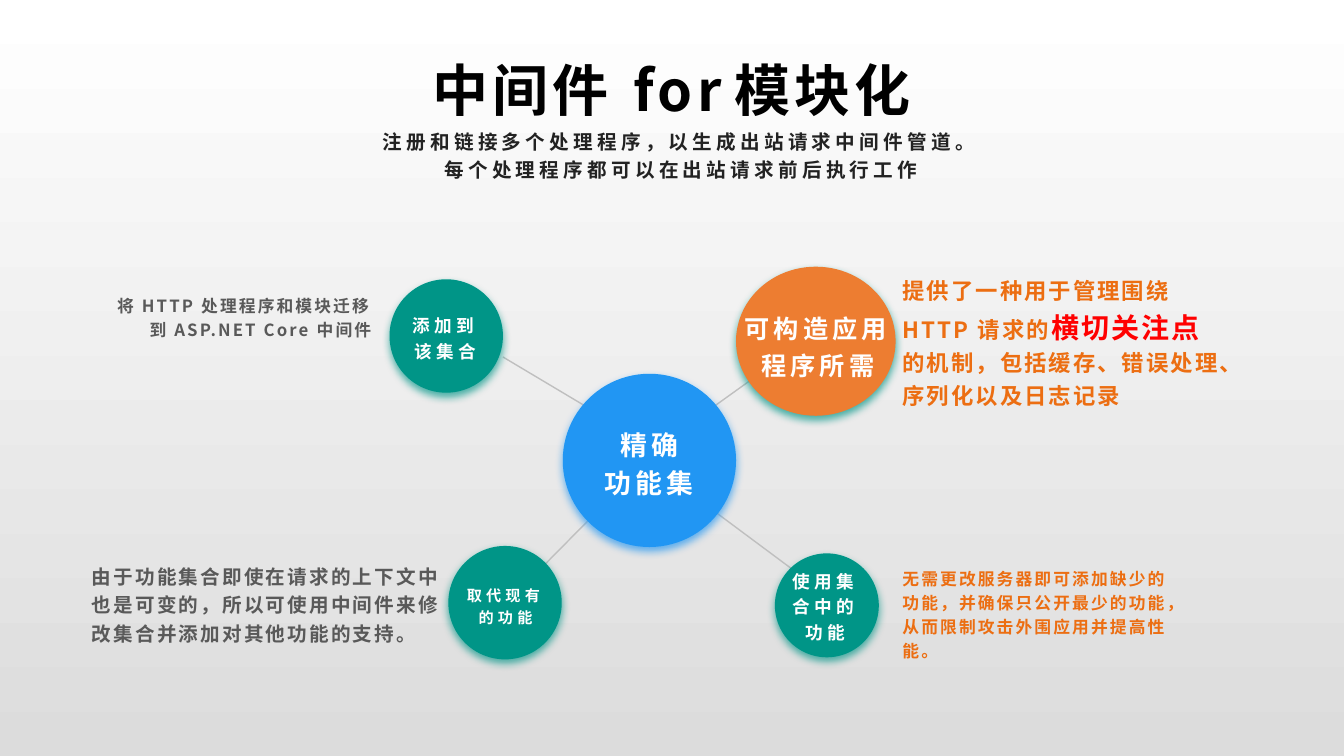
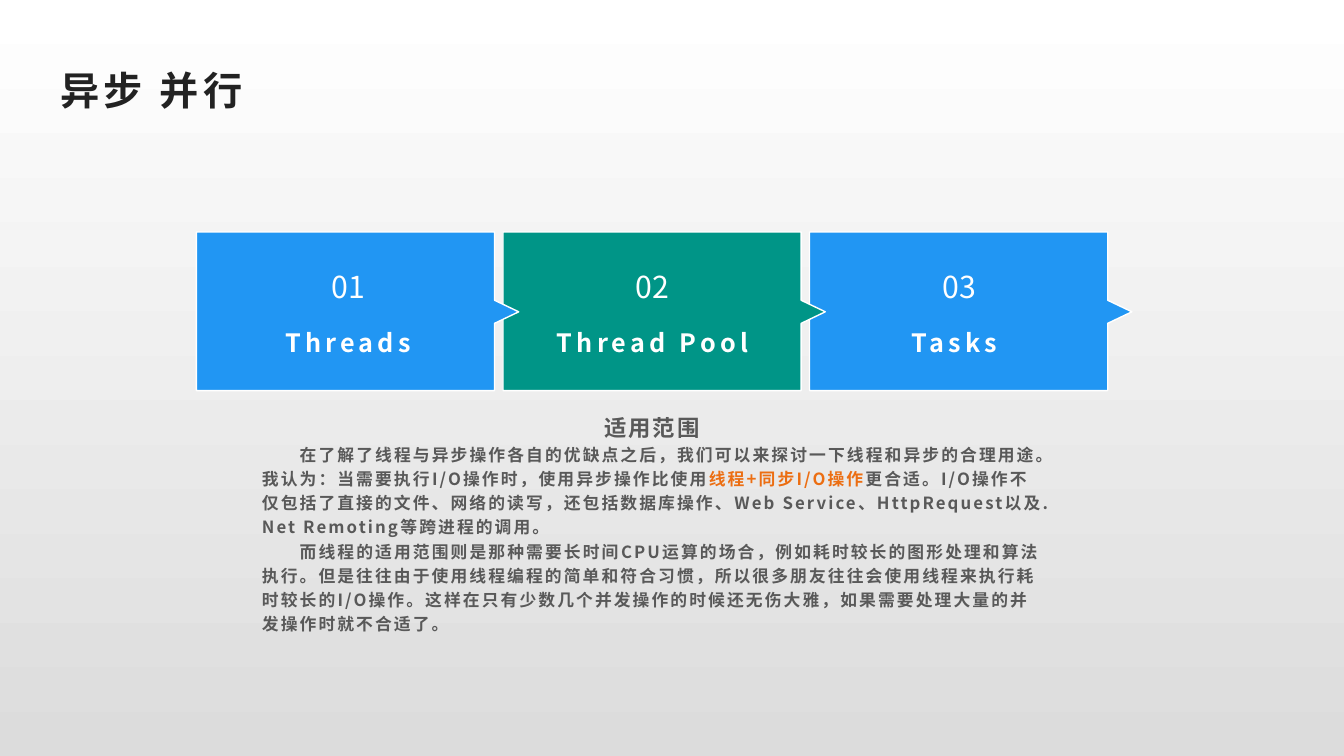
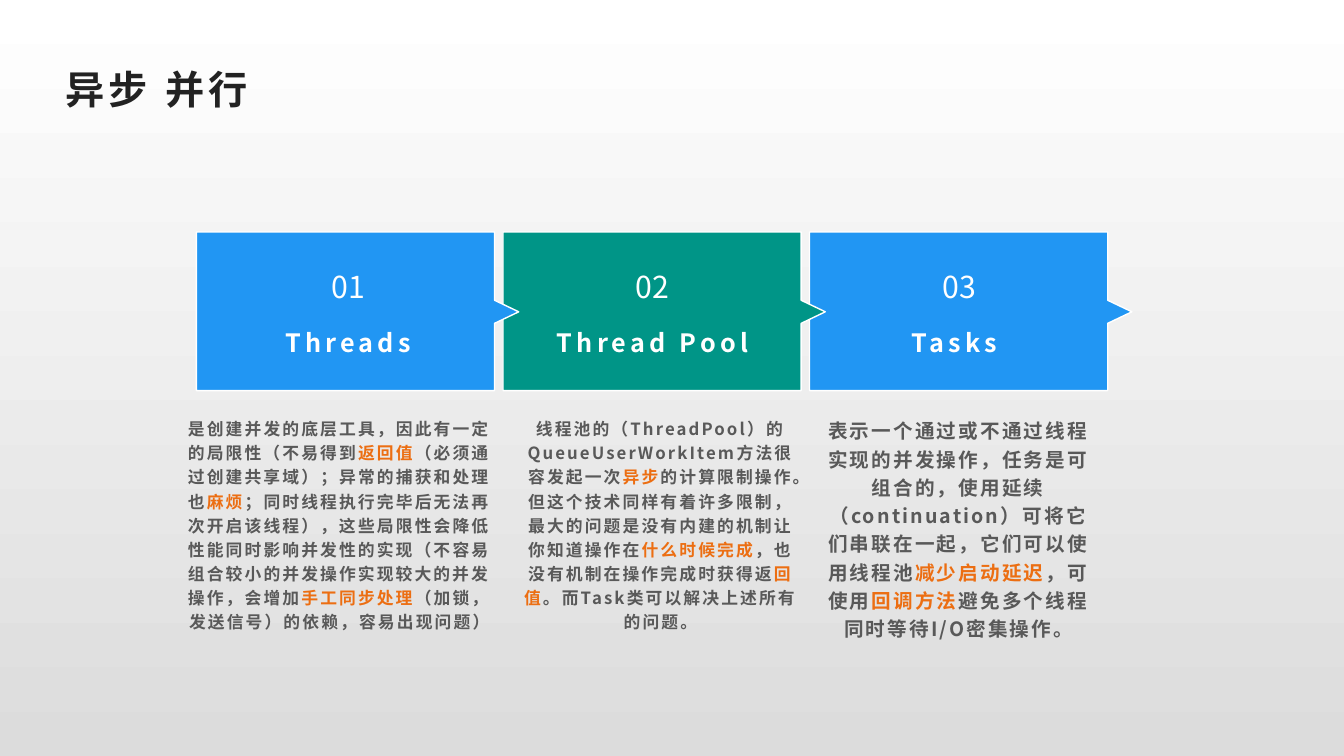
"""Build three slides on middleware features and on asynchronous and parallel work."""
from lxml.etree import SubElement
from pptx import Presentation
from pptx.dml.color import RGBColor as Rgb
from pptx.enum.lang import MSO_LANGUAGE_ID as Lang
from pptx.enum.shapes import MSO_CONNECTOR as Connector, MSO_SHAPE as Shape
from pptx.enum.text import MSO_ANCHOR as Anchor, PP_ALIGN as Align
from pptx.oxml.ns import qn
from pptx.util import Pt

PX = 9525
FONT = "Noto Sans CJK SC"
COLORS = {
    "top": "FFFFFF", "bottom": "DCDCDC", "white": "FFFFFF", "black": "000000",
    "title": "222222", "body": "595959", "accent": "EC6E12", "alert": "FF0000",
    "blue": "2196F3", "teal": "009587", "orange": "ED7D31", "link": "BFBFBF",
}
LABEL = {"size": 12.6, "color": "white", "bold": True, "gap": 3, "align": Align.CENTER, "lines": 1.2}
BODY = {"size": 12, "color": "body", "bold": True, "gap": 1.5, "align": Align.LEFT, "lines": 1.2}
CENTERED = {**BODY, "align": Align.CENTER}
TITLE = {**LABEL, "size": 28, "color": "title", "align": Align.LEFT, "lines": 1.1}
CARD_NAME = {**LABEL, "size": 18, "lines": 1}
CARD_NUMBER = {**CARD_NAME, "size": 21.6, "bold": False, "gap": 0}
MIDDLE = {"vertical_anchor": Anchor.MIDDLE}
NO_BOTTOM = {"margin_bottom": 0}
NO_TOP = {"margin_top": 0}


def px(*lengths):
    """Turn pixel lengths into EMU."""
    return [length * PX for length in lengths]


def write(box, style, paragraphs, frame_format):
    """Fill a box with paragraphs, each a list of (text, style changes) spans."""
    frame = box.text_frame
    for name, value in {"word_wrap": True, "vertical_anchor": Anchor.TOP, **frame_format}.items():
        setattr(frame, name, value)
    for number, spans in enumerate(paragraphs):
        para = frame.paragraphs[0] if number == 0 else frame.add_paragraph()
        first = {**style, **spans[0][1]}
        para.alignment = first["align"]
        para.line_spacing = first["lines"]
        properties = para._p.get_or_add_pPr()
        properties.set("defTabSz", str(96 * PX))
        if "indent" in first:
            properties.set("indent", str(first["indent"] * PX))
        for text, changes in spans:
            look = {**style, **changes}
            span = para.add_run()
            span.text = text
            font_format = {"name": FONT, "size": Pt(look["size"]), "bold": look["bold"],
                           "language_id": Lang.SIMPLIFIED_CHINESE}
            for name, value in font_format.items():
                setattr(span.font, name, value)
            span.font.color.rgb = Rgb.from_string(COLORS[look["color"]])
            run_properties = span._r.get_or_add_rPr()
            run_properties.set("spc", str(int(look["gap"] * 100)))
            SubElement(run_properties, qn("a:ea"), typeface=FONT)


deck = Presentation()
deck.slide_width, deck.slide_height = px(1280, 720)
background = deck.slide_master.background.fill
background.gradient()
background.gradient_angle = 270
for stop, name in zip(background.gradient_stops, ("top", "bottom")):
    stop.color.rgb = Rgb.from_string(COLORS[name])
hub_page, scope_page, detail_page = [deck.slides.add_slide(deck.slide_layouts[6]) for _ in range(3)]

for ends in [(479, 340, 583, 402), (560, 496, 482, 575), (667, 477, 753, 541), (676, 390, 754, 334)]:
    link = hub_page.shapes.add_connector(Connector.STRAIGHT, *px(*ends))
    link.line.color.rgb = Rgb.from_string(COLORS["link"])
    link.line.width = Pt(1)
    SubElement(link._element.spPr, qn("a:effectLst"))

circles = [
    ((701, 254, 152, 142), "orange", "teal"),
    ((371, 266, 108, 108), "teal", "teal"),
    ((427, 520, 108, 108), "teal", "teal"),
    ((738, 527, 99, 99), "teal", "teal"),
    ((536, 356, 165, 165), "blue", "blue"),
]
for place, fill, glow in circles:
    circle = hub_page.shapes.add_shape(Shape.OVAL, *px(*place))
    circle.fill.solid()
    circle.fill.fore_color.rgb = Rgb.from_string(COLORS[fill])
    circle.line.fill.background()
    circle.shadow.inherit = False
    effects = circle._element.spPr.find(qn("a:effectLst"))
    shadow = SubElement(effects, qn("a:outerShdw"), blurRad=str(Pt(6)), dist=str(Pt(3)),
                        dir="5400000", algn="t", rotWithShape="0")
    shade = SubElement(shadow, qn("a:srgbClr"), val=COLORS[glow])
    SubElement(shade, qn("a:alpha"), val="70000")
write(circle, {**LABEL, "size": 19.2}, [[("精确", {})], [("功能集", {})]], MIDDLE)

hub_texts = [
    ((382, 282, 84, 77), LABEL, MIDDLE, [("添加到该集合", {})]),
    ((735, 531, 102, 90), LABEL, MIDDLE, [("使用集合中的功能", {})]),
    ((699, 283, 160, 89), {**LABEL, "size": 18}, MIDDLE, [("可构造应用程序所需", {})]),
    ((433, 537, 97, 77), {**LABEL, "size": 10.8}, MIDDLE, [("取代现有的功能", {})]),
    ((48, 62, 1183, 55), {**LABEL, "size": 40, "color": "black"},
     {**NO_BOTTOM, "vertical_anchor": Anchor.BOTTOM}, [("中间件\tfor\t模块化", {})]),
    ((344, 119, 609, 33), {**LABEL, "size": 14, "color": "title"}, NO_TOP,
     [("注册和链接多个处理程序，以生成出站请求中间件管道。 每个处理程序都可以在出站请求前后执行工作", {})]),
    ((850, 254, 324, 111), {**BODY, "size": 16, "color": "accent"}, {},
     [("提供了一种用于管理围绕 HTTP 请求的", {}),
      ("横切关注点", {"size": 20, "color": "alert"}),
      ("的机制，包括缓存、错误处理、序列化以及日志记录", {})]),
    ((850, 533, 272, 111), {**BODY, "color": "accent"}, {},
     [("无需更改服务器即可添加缺少的功能，并确保只公开最少的功能，从而限制攻击外围应用并提高性能。", {})]),
    ((87, 273, 276, 111), {**BODY, "align": Align.RIGHT}, {},
     [("将 HTTP 处理程序和模块迁移到 ASP.NET Core 中间件", {})]),
    ((78, 529, 355, 111), {**BODY, "size": 14}, {},
     [("由于功能集合即使在请求的上下文中也是可变的，所以可使用中间件来修改集合并添加对其他功能的支持。", {})]),
]
for place, style, frame_format, spans in hub_texts:
    write(hub_page.shapes.add_textbox(*px(*place)), style, [spans], frame_format)

cards = [("Threads", "blue", 209, 245), ("Thread Pool", "teal", 497, 249), ("Tasks ", "blue", 789, 249)]
card_top, card_bottom, card_width, card_pitch = 221, 372, 284, 292
for page, title_left, title_top in [(scope_page, 48, 54), (detail_page, 53, 53)]:
    title = page.shapes.add_textbox(*px(title_left, title_top, 1152, 55))
    write(title, TITLE, [[("异步 并行", {})]], NO_BOTTOM)
    for index, (name, fill, text_left, text_width) in reversed(list(enumerate(cards))):
        left = 187 + index * card_pitch
        right = left + card_width
        outline = page.shapes.build_freeform(left, card_top, scale=PX)
        outline.add_line_segments([(right, card_top), (right, 286), (right + 23, 297), (right, 308),
                                   (right, card_bottom), (left, card_bottom)])
        card = outline.convert_to_shape()
        card.shadow.inherit = False
        card.fill.solid()
        card.fill.fore_color.rgb = Rgb.from_string(COLORS[fill])
        card.line.color.rgb = Rgb.from_string(COLORS["white"])
        card.line.width = Pt(1)
        name_box = page.shapes.add_textbox(*px(text_left, 300, text_width, 48))
        write(name_box, CARD_NAME, [[(name, {})]], {**MIDDLE, **NO_BOTTOM})
        number_box = page.shapes.add_textbox(*px(text_left, 251, text_width, 48))
        write(number_box, CARD_NUMBER, [[(f"{index + 1:02}", {})]], {})

MARK = {"color": "accent"}
INDENT = {"indent": 36}
scope = [
    [("适用范围", {"size": 16, "align": Align.CENTER})],
    [("在了解了线程与异步操作各自的优缺点之后，我们可以来探讨一下线程和异步的合理用途。"
      "我认为：当需要执行I/O操作时，使用异步操作比使用", INDENT),
     ("线程+同步I/O操作", MARK),
     ("更合适。I/O操作不仅包括了直接的文件、网络的读写，还包括数据库操作、"
      "Web Service、HttpRequest以及.Net Remoting等跨进程的调用。", {})],
    [("而线程的适用范围则是那种需要长时间CPU运算的场合，例如耗时较长的图形处理和算法执行。"
      "但是往往由于使用线程编程的简单和符合习惯，所以很多朋友往往会使用线程来执行耗时较长的I/O操作。"
      "这样在只有少数几个并发操作的时候还无伤大雅，如果需要处理大量的并发操作时就不合适了。", INDENT)],
]
write(scope_page.shapes.add_textbox(*px(240, 389, 762, 213)), BODY, scope, NO_TOP)

details = [
    (778, 270, 14, [
        ("表示一个通过或不通过线程实现的并发操作，任务是可组合的，使用延续（continuation）"
         "可将它们串联在一起，它们可以使用线程池", {}),
        ("减少启动延迟", MARK), ("，可使用", {}), ("回调方法", MARK),
        ("避免多个线程同时等待I/O密集操作。", {})]),
    (486, 286, 12, [
        ("线程池的（ThreadPool）的QueueUserWorkItem方法很容发起一次", {}), ("异步", MARK),
        ("的计算限制操作。但这个技术同样有着许多限制，最大的问题是没有内建的机制让你知道操作在", {}),
        ("什么时候完成", MARK), ("，也没有机制在操作完成时获得返", {}), ("回值", MARK),
        ("。而Task类可以解决上述所有的问题。", {})]),
    (167, 312, 12, [
        ("是创建并发的底层工具，因此有一定的局限性（不易得到", {}), ("返回值", MARK),
        ("（必须通过创建共享域）；异常的捕获和处理也", {}), ("麻烦", MARK),
        ("；同时线程执行完毕后无法再次开启该线程），这些局限性会降低性能同时影响并发性的实现"
         "（不容易组合较小的并发操作实现较大的并发操作，会增加", {}),
        ("手工同步处理", MARK), ("（加锁，发送信号）的依赖，容易出现问题）", {})]),
]
for left, width, size, spans in details:
    detail = detail_page.shapes.add_textbox(*px(left, 395, width, 213))
    write(detail, {**CENTERED, "size": size}, [spans], NO_TOP)

deck.save("out.pptx")
